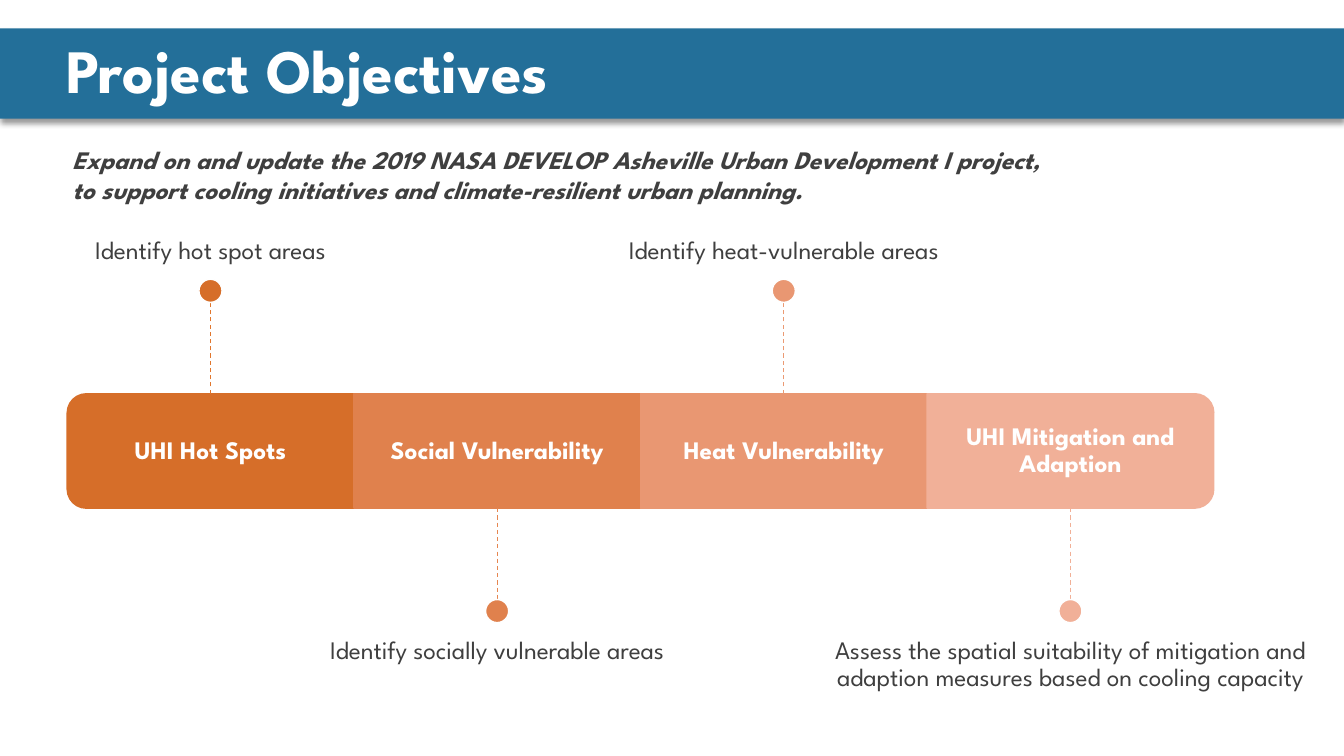
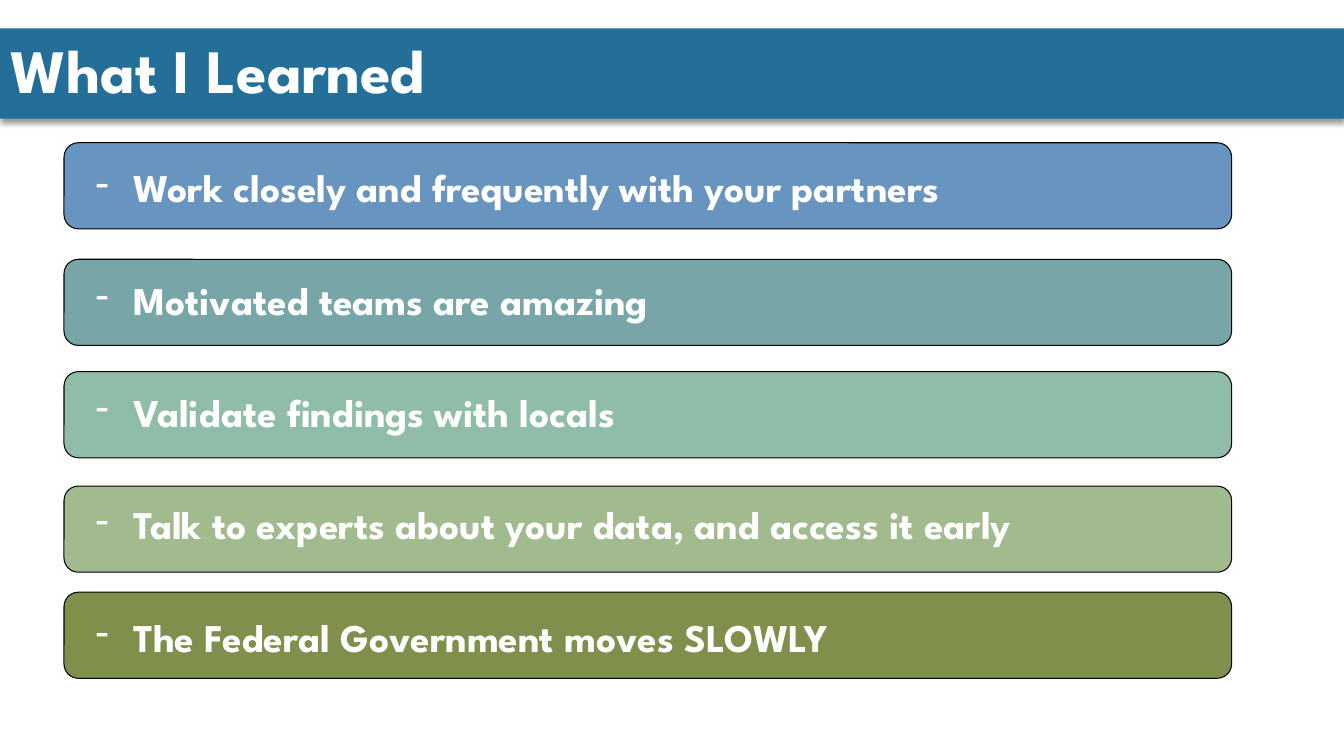
from lxml import etree
from pptx import Presentation
from pptx.dml.color import RGBColor
from pptx.enum.dml import MSO_LINE
from pptx.enum.shapes import MSO_CONNECTOR, MSO_SHAPE
from pptx.enum.text import MSO_ANCHOR, PP_ALIGN
from pptx.oxml.ns import qn
from pptx.util import Pt

PX = 9525
FONT = "League Spartan"
RECT, ROUNDED, HALF_ROUNDED, OVAL = (
    MSO_SHAPE.RECTANGLE, MSO_SHAPE.ROUNDED_RECTANGLE,
    MSO_SHAPE.ROUND_2_SAME_RECTANGLE, MSO_SHAPE.OVAL)
STRAIGHT, DASH = MSO_CONNECTOR.STRAIGHT, MSO_LINE.DASH
TOP, MIDDLE, BOTTOM = MSO_ANCHOR.TOP, MSO_ANCHOR.MIDDLE, MSO_ANCHOR.BOTTOM
LEFT, CENTER = PP_ALIGN.LEFT, PP_ALIGN.CENTER

COLORS = {"band": "236F99", "text": "3F3F3F", "white": "FFFFFF", "black": "000000"}

AIM = [
    "Expand on and update the 2019 NASA DEVELOP Asheville Urban Development I project,",
    "to support cooling initiatives and climate-resilient urban planning.",
]
OBJECTIVES = [
    ("UHI Hot Spots", "Identify hot spot areas", "D66E29", "E1762D"),
    ("Social Vulnerability", "Identify socially vulnerable areas", "E0814D", "E68650"),
    ("Heat Vulnerability", "Identify heat-vulnerable areas", "E99772", "EB9A73"),
    ("UHI Mitigation and Adaption",
     "Assess the spatial suitability of mitigation and adaption measures "
     "based on cooling capacity", "F1B098", "F1B097"),
]
LESSONS = [
    ("Work closely and frequently with your partners", 136, "6894C0"),
    ("Motivated teams are amazing", 247, "78A5A8"),
    ("Validate findings with locals", 354, "8FBDA7"),
    ("Talk to experts about your data, and access it early", 463, "A1BA8E"),
    ("The Federal Government moves SLOWLY", 564, "808F4C"),
]

BAR_LEFT, BAR_TOP, STEP_W, BAR_H = 64, 375, 273, 109
STEM, DOT = 87, 22
CAPTION_W, CAPTION_H, CAPTION_GAP = 455, 80, 14
LESSON_LEFT, LESSON_W, LESSON_H = 61, 1112, 82


def rgb(color):
    return RGBColor.from_string(COLORS.get(color, color))


def emu(*lengths):
    return [round(length * PX) for length in lengths]


def add_block(slide, kind, box, fill, line=None, weight=1):
    block = slide.shapes.add_shape(kind, *emu(*box))
    block.shadow.inherit = False
    block.fill.solid()
    block.fill.fore_color.rgb = rgb(fill)
    if line:
        block.line.color.rgb = rgb(line)
        block.line.width = Pt(weight)
    else:
        block.line.fill.background()
    return block


def write(shape, lines, size, color, bold=False, italic=False, anchor=TOP,
          align=LEFT, insets=(10, 5, 10, 5), spacing=0.9, gap=0, bullet=False):
    frame = shape.text_frame
    frame.word_wrap = True
    frame.vertical_anchor = anchor
    (frame.margin_left, frame.margin_top,
     frame.margin_right, frame.margin_bottom) = emu(*insets)
    for index, line in enumerate(lines):
        paragraph = frame.add_paragraph() if index else frame.paragraphs[0]
        paragraph.text = line
        paragraph.alignment = align
        paragraph.line_spacing = spacing
        paragraph.space_before = Pt(gap if index else 0)
        if bullet:
            add_dash(paragraph, color)
        font = paragraph.font
        font.name, font.size, font.bold, font.italic = FONT, Pt(size), bold, italic
        font.color.rgb = rgb(color)


def add_dash(paragraph, color):
    properties = paragraph._p.get_or_add_pPr()
    properties.set("marL", str(48 * PX))
    properties.set("indent", str(-36 * PX))
    tint = etree.SubElement(properties, qn("a:buClr"))
    etree.SubElement(tint, qn("a:srgbClr"), val=COLORS[color])
    etree.SubElement(properties, qn("a:buChar"), char="-")


def add_text(slide, box, lines, size, color, **style):
    write(slide.shapes.add_textbox(*emu(*box)), lines, size, color, **style)


def add_title(slide, title, indent):
    band = add_block(slide, RECT, (0, 27, 1280, 86), "band")
    effects = band._element.spPr.find(qn("a:effectLst"))
    shadow = etree.SubElement(
        effects, qn("a:outerShdw"), blurRad=str(Pt(4)), dist=str(Pt(3)),
        dir="5400000", algn="t", rotWithShape="0")
    tint = etree.SubElement(shadow, qn("a:srgbClr"), val=COLORS["black"])
    etree.SubElement(tint, qn("a:alpha"), val="40000")
    write(band, [title], 44, "white", bold=True, anchor=MIDDLE,
          insets=(indent, 5, 10, 5))


def add_stem(slide, x, start, end, color):
    stem = slide.shapes.add_connector(STRAIGHT, *emu(x, start, x, end))
    stem.line.color.rgb = rgb(color)
    stem.line.width = Pt(0.75)
    stem.line.dash_style = DASH
    etree.SubElement(stem._element.spPr, qn("a:effectLst"))


def add_step(slide, left, fill, turn):
    if not turn:
        add_block(slide, RECT, (left, BAR_TOP, STEP_W, BAR_H), fill, fill)
        return
    shift = (STEP_W - BAR_H) / 2
    end = add_block(slide, HALF_ROUNDED,
                    (left + shift, BAR_TOP - shift, BAR_H, STEP_W), fill, fill)
    end.rotation = turn


def build_objectives(slide):
    add_title(slide, "Project Objectives", 63)
    turns = {0: 270, len(OBJECTIVES) - 1: 90}
    for index, (name, caption, fill, stem_color) in enumerate(OBJECTIVES):
        left = BAR_LEFT + index * STEP_W
        middle = left + STEP_W / 2
        add_step(slide, left, fill, turns.get(index))
        add_text(slide, (left, BAR_TOP, STEP_W, BAR_H), [name], 18, "white",
                 bold=True, anchor=MIDDLE, align=CENTER, insets=(14, 14, 14, 14))

        if index % 2 == 0:
            edge, tip = BAR_TOP, BAR_TOP - STEM
            dot_top = tip - DOT
            caption_top, anchor = dot_top - CAPTION_H, BOTTOM
            insets = (0, 0, 0, CAPTION_GAP)
        else:
            edge = BAR_TOP + BAR_H
            tip = dot_top = edge + STEM
            caption_top, anchor = dot_top + DOT, TOP
            insets = (0, CAPTION_GAP, 0, 0)
        add_stem(slide, middle, edge, tip, stem_color)
        add_block(slide, OVAL, (middle - DOT / 2, dot_top, DOT, DOT), fill, "white")
        add_text(slide, (middle - CAPTION_W / 2, caption_top, CAPTION_W, CAPTION_H),
                 [caption], 18, "text", anchor=anchor, align=CENTER, insets=insets)
    add_text(slide, (59, 132, 1128, 97), AIM, 18, "text", bold=True, italic=True,
             spacing=1.0)


def build_lessons(slide):
    for _, top, fill in LESSONS:
        add_block(slide, ROUNDED, (LESSON_LEFT, top, LESSON_W, LESSON_H), fill,
                  "black", 0.75)
    add_title(slide, "What I Learned", 10)
    add_text(slide, (69, 156, 1203, 527), [lesson for lesson, _, _ in LESSONS],
             28, "white", bold=True, gap=50, bullet=True)


def main():
    deck = Presentation()
    deck.slide_width, deck.slide_height = emu(1280, 720)
    for build in (build_objectives, build_lessons):
        build(deck.slides.add_slide(deck.slide_layouts[6]))
    deck.save("out.pptx")


if __name__ == "__main__":
    main()
